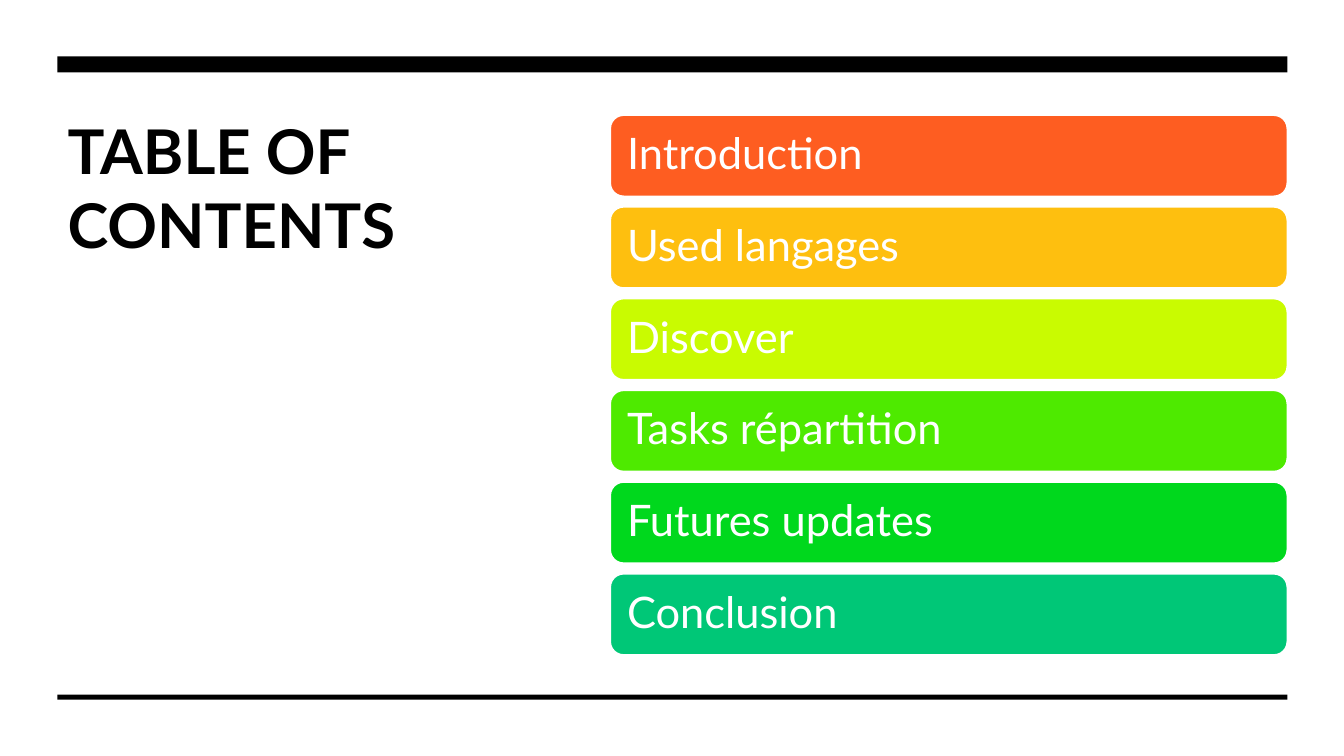
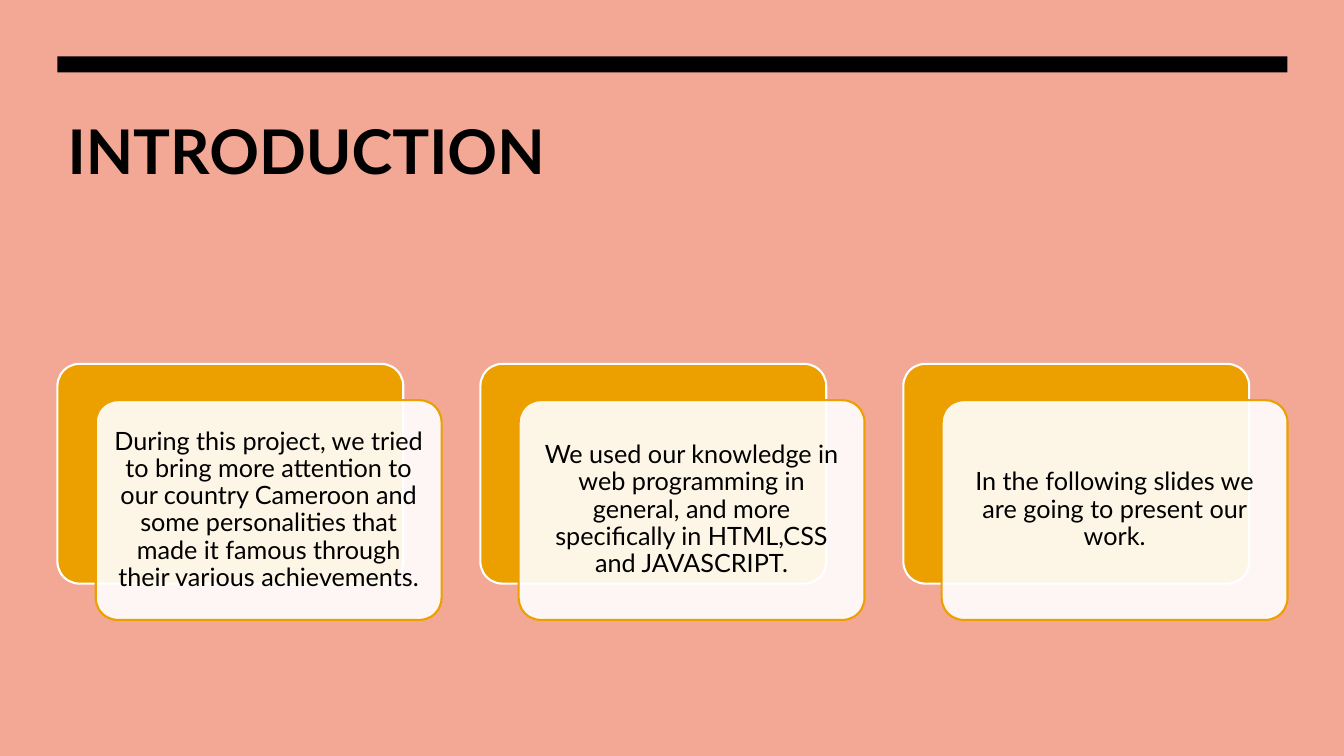
from dataclasses import dataclass

from lxml.etree import SubElement
from pptx import Presentation
from pptx.dml.color import RGBColor
from pptx.enum.shapes import MSO_SHAPE as Shape
from pptx.enum.text import MSO_ANCHOR as Anchor, MSO_AUTO_SIZE as AutoSize, PP_ALIGN as Align
from pptx.oxml.ns import qn
from pptx.util import Inches, Pt


@dataclass(frozen=True)
class Theme:
    font: str = "Lato"
    ink: str = "000000"
    paper: str = "FFFFFF"
    salmon: str = "F3A795"
    amber: str = "EBA000"
    title_size: int = 44
    bar_size: int = 31
    card_size: int = 18
    outline: float = 1.5
    left: float = 0.57
    width: float = 12.2


theme = Theme()


def add_panel(slide, kind, box, fill, line=None):
    """Add a filled shape, outlined only when a line colour is given."""
    shape = slide.shapes.add_shape(kind, *map(Inches, box))
    shape.shadow.inherit = False
    shape.fill.solid()
    shape.fill.fore_color.rgb = RGBColor.from_string(fill)
    if line:
        shape.line.color.rgb = RGBColor.from_string(line)
        shape.line.width = Pt(theme.outline)
    else:
        shape.line.fill.background()
    return shape


def write(shape, text, size, color, align=Align.LEFT, anchor=Anchor.MIDDLE,
          inset=None, spacing=None, bold=False):
    """Put one formatted paragraph into a shape or placeholder."""
    frame = shape.text_frame
    frame.text = text
    frame.word_wrap = True
    frame.auto_size = AutoSize.NONE
    frame.vertical_anchor = anchor
    if inset is not None:
        frame.margin_left = frame.margin_right = Inches(inset)
        frame.margin_top = frame.margin_bottom = Inches(inset)
    paragraph = frame.paragraphs[0]
    paragraph.alignment = align
    if spacing:
        paragraph.line_spacing = spacing
    paragraph.font.name = theme.font
    paragraph.font.size = Pt(size)
    paragraph.font.bold = bold
    paragraph.font.color.rgb = RGBColor.from_string(color)


presentation = Presentation()
presentation.slide_width = Inches(13.33)
presentation.slide_height = Inches(7.5)
title_only = presentation.slide_layouts[5]

# Shared parts: background, title and top rule
slides = []
for text, background, title_width, title_height in (
    ("TABLE OF CONTENTS", theme.paper, 4.69, 3.68),
    ("INTRODUCTION", theme.salmon, theme.width, 1.6),
):
    slide = presentation.slides.add_slide(title_only)
    slide.background.fill.solid()
    slide.background.fill.fore_color.rgb = RGBColor.from_string(background)
    title = slide.shapes.title
    title.left, title.top = Inches(theme.left), Inches(1.07)
    title.width, title.height = Inches(title_width), Inches(title_height)
    write(title, text, theme.title_size, theme.ink, anchor=Anchor.TOP, bold=True)
    add_panel(slide, Shape.RECTANGLE, (theme.left, 0.56, theme.width, 0.16), theme.ink)
    slides.append(slide)
contents, introduction = slides

# Table of contents: bottom rule and a stack of coloured bars
add_panel(contents, Shape.RECTANGLE, (theme.left, 6.89, theme.width, 0.05), theme.ink)
chapters = (
    ("Introduction", "FE5D21"),
    ("Used langages", "FEBF0F"),
    ("Discover", "C9FB01"),
    ("Tasks répartition", "4EEA00"),
    ("Futures updates", "00D81D"),
    ("Conclusion", "00C777"),
)
bar_top, bar_pitch = 1.14, 0.91
for row, (chapter, color) in enumerate(chapters):
    box = (6.05, bar_top + row * bar_pitch, 6.72, 0.81)
    bar = add_panel(contents, Shape.ROUNDED_RECTANGLE, box, color, theme.paper)
    write(bar, chapter, theme.bar_size, theme.paper, inset=0.13, spacing=0.9)

# Introduction: three translucent cards, each offset from an amber backing
statements = (
    "During this project, we tried to bring more attention to our country Cameroon "
    "and some personalities that made it famous through their various achievements.",
    "We used our knowledge in web programming in general, and more specifically "
    "in HTML,CSS and JAVASCRIPT.",
    "In the following slides we are going to present our work.",
)
card_width, card_height = 3.43, 2.18
card_top, card_pitch = 3.61, 4.195
offset_x, offset_y = 0.38, 0.36
for column, statement in enumerate(statements):
    left = theme.left + column * card_pitch
    backing = add_panel(introduction, Shape.ROUNDED_RECTANGLE,
                        (left, card_top, card_width, card_height),
                        theme.amber, theme.paper)
    card = add_panel(introduction, Shape.ROUNDED_RECTANGLE,
                     (left + offset_x, card_top + offset_y, card_width, card_height),
                     theme.paper, theme.amber)
    for shape in (backing, card):
        shape.adjustments[0] = 0.1
    fill_color = card.fill._xPr.find(qn("a:solidFill"))[0]
    SubElement(fill_color, qn("a:alpha"), val="90000")
    write(card, statement, theme.card_size, theme.ink, align=Align.CENTER,
          inset=0.07, spacing=0.9)

presentation.save("out.pptx")
